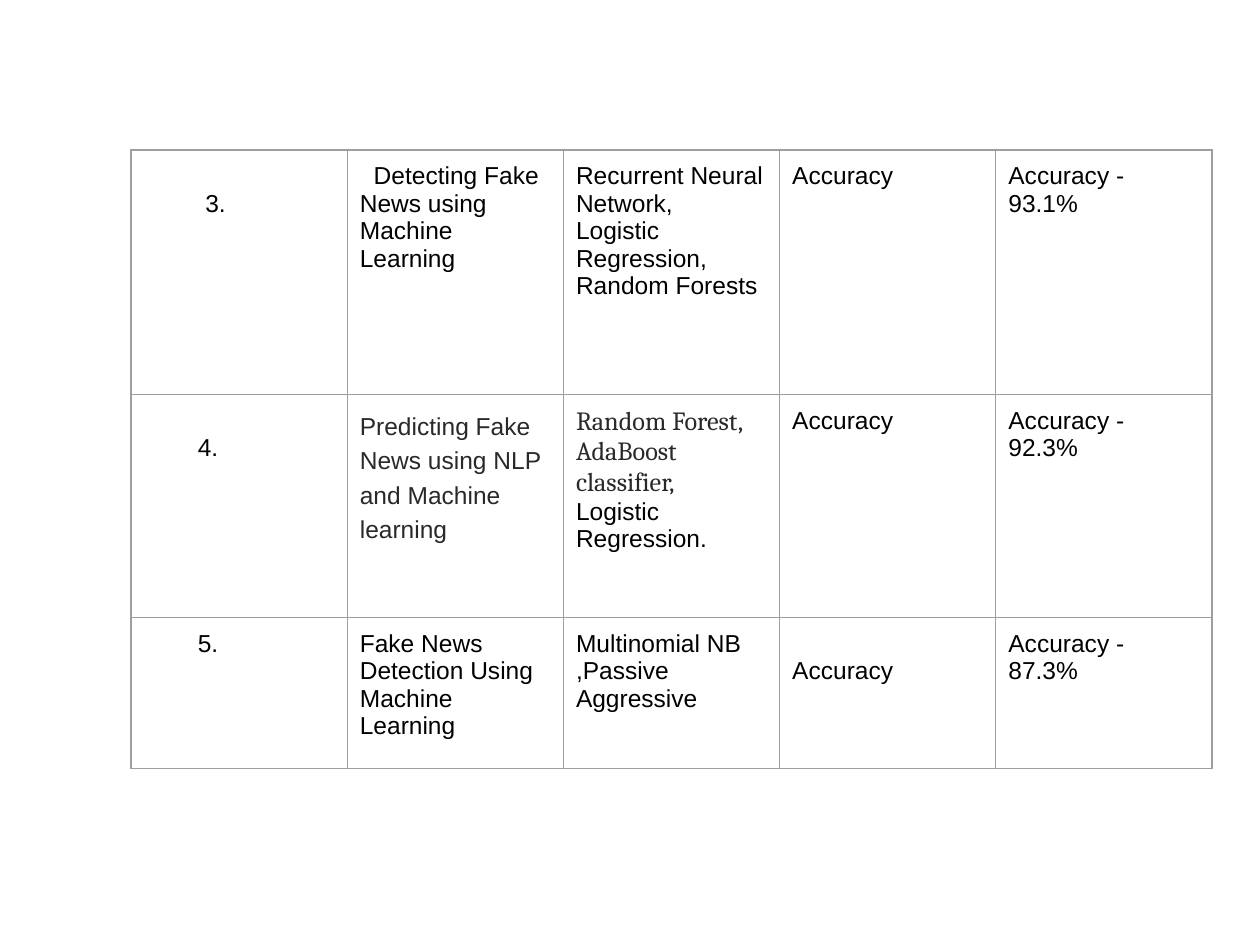
"""Build a slide with a table comparing fake news detection studies."""
import pptx
import pptx.chart.data
import pptx.dml.color
import pptx.oxml
import pptx.oxml.ns
import pptx.util
from pptx.util import Inches


def color(value):
    return pptx.dml.color.RGBColor.from_string(value)


def add_borders(cell, value, width):
    properties = cell._tc.get_or_add_tcPr()
    for position, side in enumerate(("lnL", "lnR", "lnT", "lnB")):
        properties.insert(position, pptx.oxml.parse_xml(
            f'<a:{side} {pptx.oxml.ns.nsdecls("a")} w="{pptx.util.Pt(width)}">'
            f'<a:solidFill><a:srgbClr val="{value}"/></a:solidFill></a:{side}>'))


studies = [
    ["3.", "Detecting Fake News using Machine Learning",
     "Recurrent Neural Network,\nLogistic Regression,\nRandom Forests",
     "Accuracy", "Accuracy - 93.1%"],
    ["4.", "Predicting Fake News using NLP and Machine learning",
     "Random Forest,\nAdaBoost classifier,\nLogistic Regression.",
     "Accuracy", "Accuracy - 92.3%"],
    ["5.", "Fake News Detection Using Machine Learning",
     "Multinomial NB\n,Passive Aggressive",
     "Accuracy", "Accuracy - 87.3%"],
]
row_heights = [1.94, 1.77, 1.2]
number_insets = [0.59, 0.53, 0.53]
lowered_cells = [(0, 0), (1, 0), (2, 3)]

presentation = pptx.Presentation()
presentation.slide_width = Inches(10)
presentation.slide_height = Inches(7.5)
slide = presentation.slides.add_slide(presentation.slide_layouts[6])

comparison = slide.shapes.add_table(
    len(studies), len(studies[0]),
    Inches(1.04), Inches(1.19), Inches(8.58), Inches(sum(row_heights))).table
comparison.first_row = False
comparison.horz_banding = False

for row, study in enumerate(studies):
    comparison.rows[row].height = Inches(row_heights[row])
    for column, content in enumerate(study):
        cell = comparison.cell(row, column)
        cell.text_frame.text = content
        cell.margin_left = Inches(number_insets[row] if column == 0 else 0.1)
        cell.margin_top = Inches(0.32 if (row, column) in lowered_cells else 0.1)
        cell.margin_right = cell.margin_bottom = Inches(0.1)
        cell.fill.background()
        add_borders(cell, "9E9E9E", 0.75)
        for paragraph in cell.text_frame.paragraphs:
            for run in paragraph.runs:
                run.font.name = "Arial"
                run.font.size = pptx.util.Pt(14)
                run.font.bold = False
                run.font.color.rgb = color("000000")

detecting_title = comparison.cell(0, 1).text_frame.paragraphs[0]
detecting_title._p.get_or_add_pPr().set("indent", str(Inches(0.11)))

predicting_title = comparison.cell(1, 1).text_frame.paragraphs[0]
predicting_title.line_spacing = 1.24
predicting_title.runs[0].font.color.rgb = color("292929")

for method in comparison.cell(1, 2).text_frame.paragraphs[:2]:
    method.runs[0].font.name = "Cambria"
    method.runs[0].font.size = pptx.util.Pt(15)
    method.runs[0].font.color.rgb = color("292929")

presentation.save("out.pptx")
